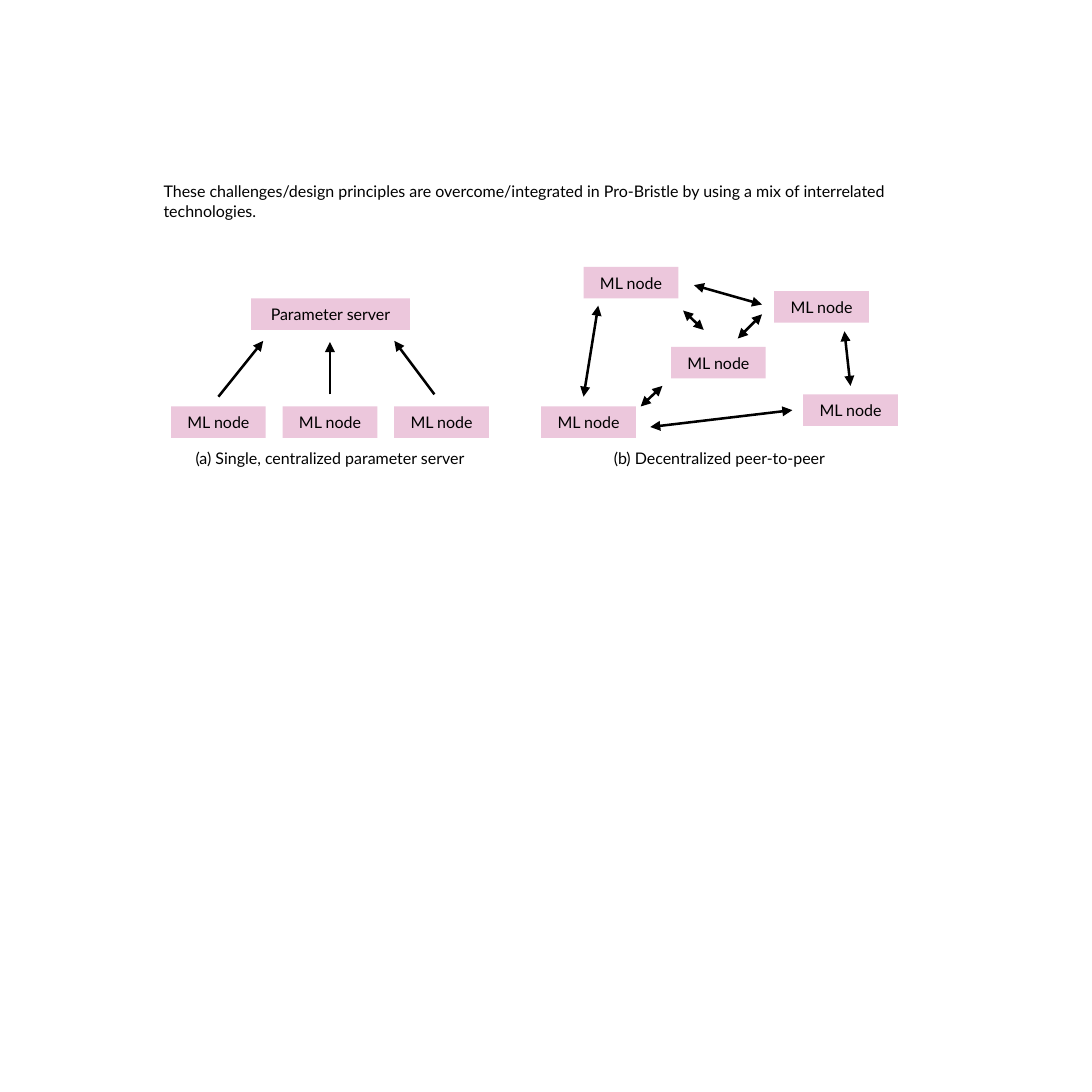
from pptx import Presentation
from pptx.dml.color import RGBColor
from pptx.enum.shapes import MSO_CONNECTOR, MSO_SHAPE
from pptx.enum.text import MSO_ANCHOR, MSO_AUTO_SIZE, PP_ALIGN
from pptx.oxml.ns import qn
from pptx.util import Pt
from lxml import etree

RECT, LINE = MSO_SHAPE.RECTANGLE, MSO_CONNECTOR.STRAIGHT
LEFT, CENTER, MIDDLE = PP_ALIGN.LEFT, PP_ALIGN.CENTER, MSO_ANCHOR.MIDDLE
GROW = MSO_AUTO_SIZE.SHAPE_TO_FIT_TEXT
COLORS = {"ink": "000000", "node": "ECC7DC"}
INK = RGBColor.from_string(COLORS["ink"])
NODE = RGBColor.from_string(COLORS["node"])
NODE_W, ROW_H = 56.2, 18.7
ROW_TOP, ROW_LEFT, STEP = 241.2, 101.5, 66.2

deck = Presentation()
deck.slide_width = deck.slide_height = Pt(648)
slide = deck.slides.add_slide(deck.slide_layouts[6])


def write(shape, text, align):
    """Put one styled paragraph into a shape."""
    frame = shape.text_frame
    frame.word_wrap = True
    para = frame.paragraphs[0]
    para.text = text
    para.alignment = align
    para.font.name = "Lato"
    para.font.size = Pt(9.5)
    para.font.color.rgb = INK


def arrow(start, end, ends):
    """Draw a line with a triangle at each of the named ends."""
    line = slide.shapes.add_connector(LINE, *map(Pt, start + end))
    line.line.color.rgb = INK
    line.line.width = Pt(1.5)
    stroke = line.line._get_or_add_ln()
    for tag in ends:
        etree.SubElement(stroke, qn(tag)).set("type", "triangle")
    etree.SubElement(line._element.spPr, qn("a:effectLst"))


# Nodes: a row of workers under their server, then the peers
nodes = [("ML node", ROW_LEFT + i * STEP, ROW_TOP, NODE_W) for i in range(3)]
nodes.append(("Parameter server", 149, 177.1, 94.3))
peers = [(321.1, ROW_TOP), (398.2, 205.9), (476.6, 234), (459.4, 172.8),
         (346.3, 158.4)]
nodes += [("ML node", left, top, NODE_W) for left, top in peers]
for text, left, top, width in nodes:
    box = slide.shapes.add_shape(RECT, Pt(left), Pt(top), Pt(width), Pt(ROW_H))
    box.shadow.inherit = False
    box.fill.solid()
    box.fill.fore_color.rgb = NODE
    box.line.fill.background()
    box.text_frame.vertical_anchor = MIDDLE
    write(box, text, CENTER)

# Workers report to the server
uplinks = [((129.6, 235.4), (156.2, 202.3)), ((195.8, 234), (195.8, 203)),
           ((257.8, 234), (234, 202.3))]
for start, end in uplinks:
    arrow(start, end, ["a:tailEnd"])

# Peers exchange both ways
swaps = [((470.2, 243.4), (385.9, 253.4)), ((346.3, 235.4), (355, 181.4)),
         ((452.2, 180.7), (411.8, 169.2)), ((393.1, 229), (380.2, 241.2)),
         ((417.6, 195.8), (405.4, 184.3)), ((452.2, 186.5), (437.8, 200.9)),
         ((504.7, 229), (501.1, 196.6))]
for start, end in swaps:
    arrow(start, end, ["a:headEnd", "a:tailEnd"])

# Sentence on top and the two captions
notes = [
    ("These challenges/design principles are overcome/integrated in "
     "Pro-Bristle by using a mix of interrelated technologies.",
     90, 104.4, 463.7, LEFT),
    ("(a) Single, centralized parameter server",
     ROW_LEFT, 262.8, 188.6, CENTER),
    ("(b) Decentralized peer-to-peer", 321.1, 262.8, 211.7, CENTER),
]
for text, left, top, width, align in notes:
    note = slide.shapes.add_textbox(Pt(left), Pt(top), Pt(width), Pt(ROW_H))
    write(note, text, align)
    note.text_frame.auto_size = GROW

deck.save("out.pptx")
